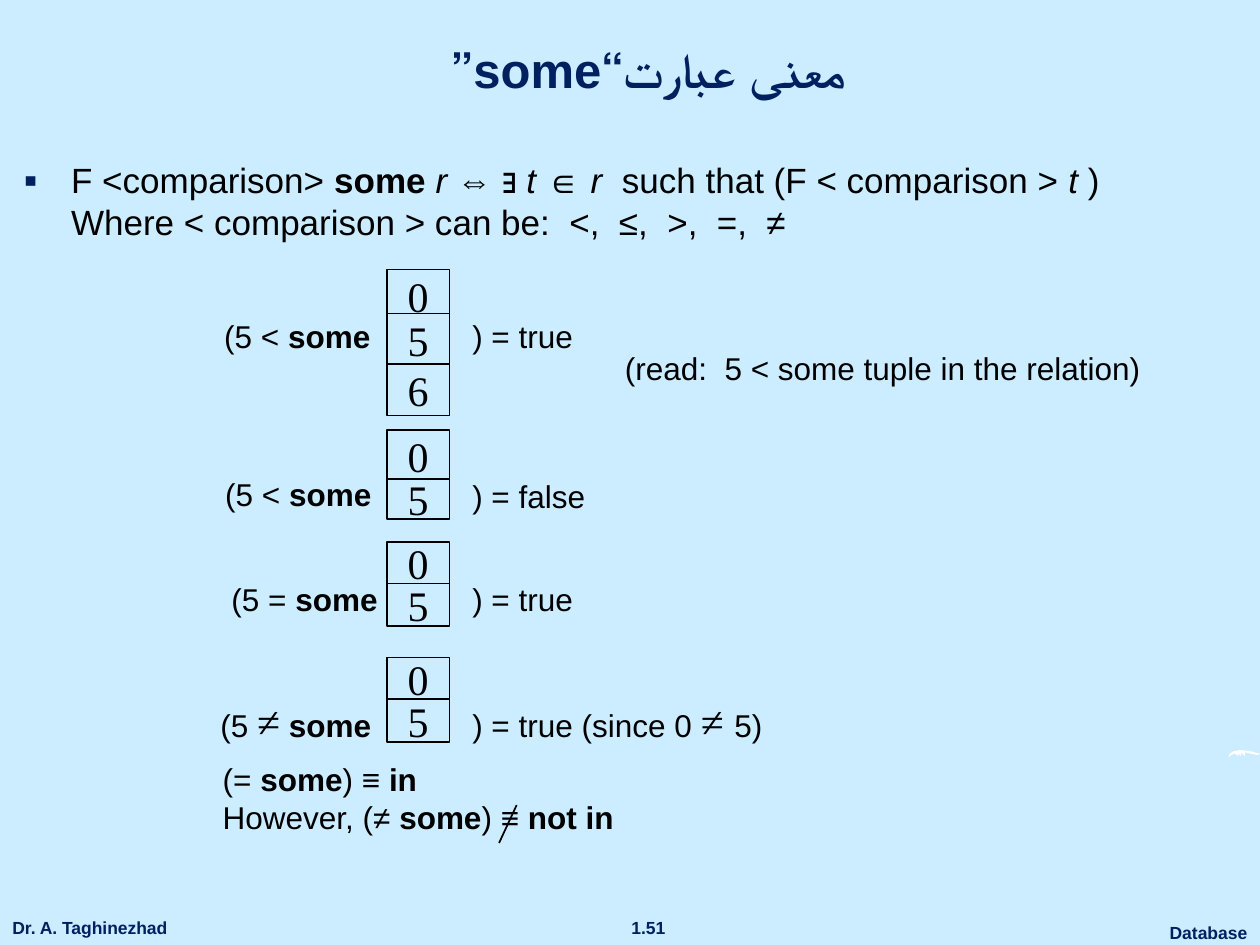
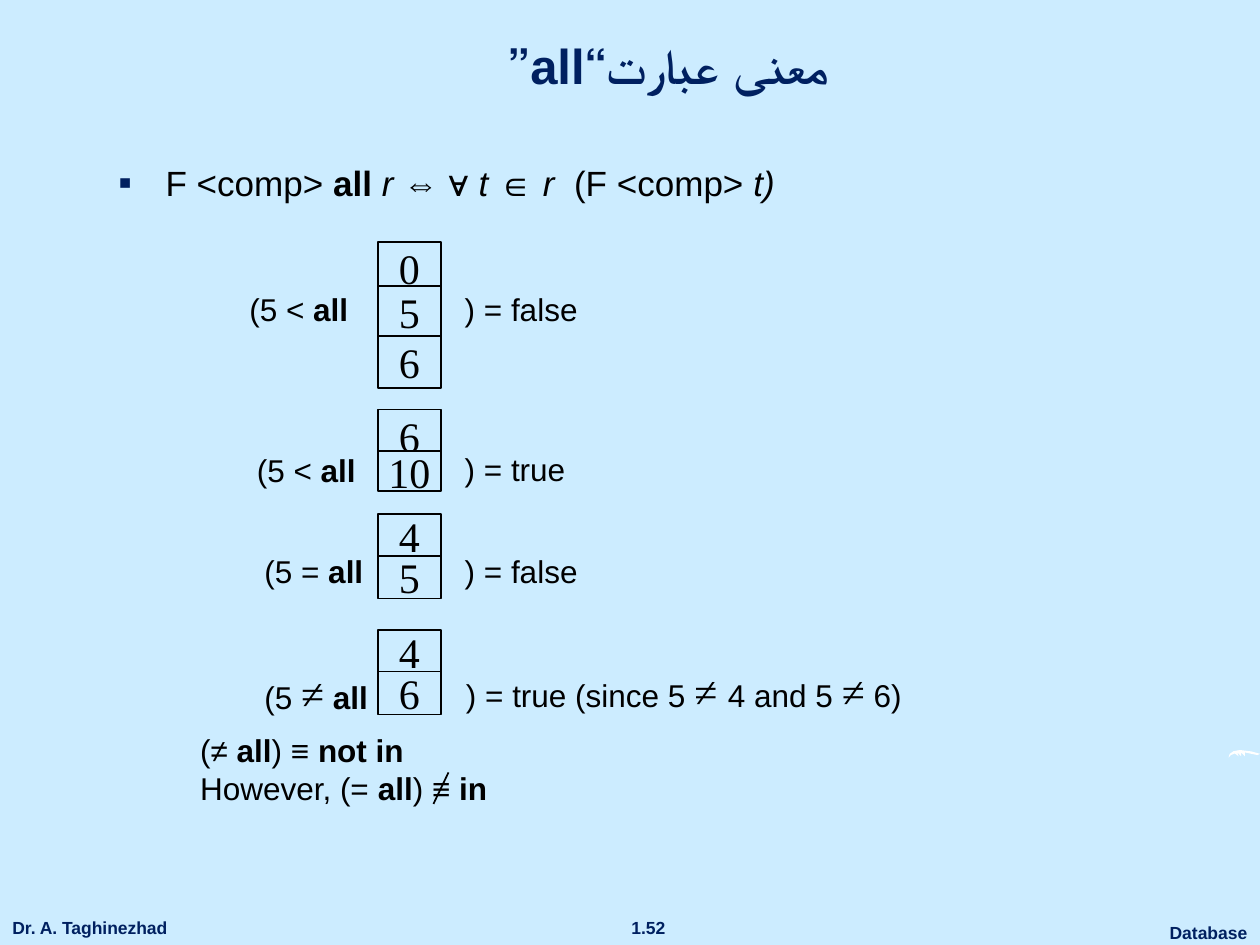
from dataclasses import dataclass

from lxml.etree import SubElement
from pptx import Presentation
from pptx.dml.color import RGBColor
from pptx.enum.shapes import MSO_CONNECTOR as Connector, MSO_SHAPE as Shape
from pptx.enum.text import MSO_ANCHOR as Anchor, MSO_AUTO_SIZE as AutoSize, PP_ALIGN as Align
from pptx.oxml.ns import qn
from pptx.util import Pt


@dataclass(frozen=True)
class Theme:
    background: RGBColor = RGBColor(0xCC, 0xEC, 0xFF)
    navy: RGBColor = RGBColor(0x00, 0x20, 0x60)
    ink: RGBColor = RGBColor(0, 0, 0)
    white: RGBColor = RGBColor(0xFF, 0xFF, 0xFF)
    sans: str = "Arial"
    serif: str = "Times New Roman"
    title: int = 28
    definition: int = 20
    label: int = 18
    value: int = 24
    footer: int = 10


@dataclass(frozen=True)
class Example:
    top: float
    cells: list
    claim: tuple
    claim_runs: list
    verdict: tuple
    verdict_runs: list


THEME = Theme()
PLAIN, BOLD, ITALIC, SYMBOL = range(4)
NOT_EQUAL = ("≠", SYMBOL)


def style_font(font, size, color=THEME.ink, name=THEME.sans, bold=None):
    font.name = name
    font.size = Pt(size)
    font.color.rgb = color
    font.bold = bold


def add_runs(paragraph, runs):
    for text, style in runs:
        for index, line in enumerate(text.split("\n")):
            if index:
                paragraph.add_line_break()
            run = paragraph.add_run()
            run.text = line
            if style == BOLD:
                run.font.bold = True
            elif style == ITALIC:
                run.font.italic = True
            elif style == SYMBOL:
                run.font.name = THEME.serif
                run.font.size = Pt(THEME.value)


def add_text(slide, box, *lines, size=THEME.label, color=THEME.ink, bold=None,
             align=Align.LEFT, wrap=True, bullet=False):
    frame = slide.shapes.add_textbox(*map(Pt, box)).text_frame
    frame.word_wrap = wrap
    for index, runs in enumerate(lines):
        paragraph = frame.add_paragraph() if index else frame.paragraphs[0]
        paragraph.alignment = align
        if bullet:
            add_bullet(paragraph)
        style_font(paragraph.font, size, color, bold=bold)
        add_runs(paragraph, runs)


def add_bullet(paragraph):
    properties = paragraph._p.get_or_add_pPr()
    properties.set("marL", str(Pt(27)))
    properties.set("indent", str(-Pt(27)))
    color = SubElement(properties, qn("a:buClr"))
    SubElement(color, qn("a:srgbClr"), val=str(THEME.navy))
    SubElement(properties, qn("a:buSzPct"), val="110000")
    SubElement(properties, qn("a:buFont"), typeface=THEME.sans)
    SubElement(properties, qn("a:buChar"), char="▪")


def add_title(slide, box, text):
    title = slide.shapes.title
    title.left, title.top, title.width, title.height = map(Pt, box)
    frame = title.text_frame
    frame.auto_size = AutoSize.NONE
    frame.vertical_anchor = Anchor.BOTTOM
    frame.text = text
    paragraph = frame.paragraphs[0]
    paragraph.alignment = Align.CENTER
    paragraph._p.get_or_add_pPr().set("rtl", "1")
    style_font(paragraph.font, THEME.title, THEME.navy, bold=True)


def add_footer(slide, page):
    footers = [
        ((661, 523.4, 59, 19.4), "Database", Align.CENTER),
        ((352.8, 520.6, 35.3, 19.4), page, Align.CENTER),
        ((0, 520.6, 105.8, 19.4), "Dr. A. Taghinezhad", Align.LEFT),
    ]
    for box, text, align in footers:
        add_text(slide, box, [(text, PLAIN)], size=THEME.footer, color=THEME.navy,
                 bold=True, align=align, wrap=False)


def add_feather(slide, left, top):
    outline = [(0, 4.3), (0.7, 2.2), (2.9, 0.7), (6.5, 0), (13, 0.8), (18, 2.2),
               (16.5, 2.9), (9.4, 1.4), (9.4, 3.6), (7.2, 1.4), (7.2, 3.6),
               (5, 1.4), (5.8, 3.6), (3.6, 2), (1.4, 2.9)]
    points = [(Pt(left + x), Pt(top + y)) for x, y in outline]
    builder = slide.shapes.build_freeform(*points[0])
    builder.add_line_segments(points[1:])
    feather = builder.convert_to_shape()
    feather.shadow.inherit = False
    feather.fill.solid()
    feather.fill.fore_color.rgb = THEME.white
    feather.line.fill.background()


def add_cell(slide, box, value):
    cell = slide.shapes.add_shape(Shape.RECTANGLE, *map(Pt, box))
    cell.shadow.inherit = False
    cell.fill.solid()
    cell.fill.fore_color.rgb = THEME.background
    cell.line.color.rgb = THEME.ink
    cell.line.width = Pt(1)
    frame = cell.text_frame
    frame.word_wrap = False
    frame.vertical_anchor = Anchor.MIDDLE
    frame.text = value
    paragraph = frame.paragraphs[0]
    paragraph.alignment = Align.CENTER
    style_font(paragraph.font, THEME.value, name=THEME.serif)


def add_example(slide, left, example):
    for value, offset, height in example.cells:
        add_cell(slide, (left, example.top + offset, 36, height), value)
    labels = [(example.claim, example.claim_runs), (example.verdict, example.verdict_runs)]
    for (dx, dy, width), runs in labels:
        tall = any(style == SYMBOL for _, style in runs)
        add_text(slide, (left + dx, example.top + dy, width, 36 if tall else 29), runs)


def add_conclusion(slide, left, top, lines, slash):
    add_text(slide, (left, top, 535.7, 56.2), *lines)
    x1, y1, x2, y2 = slash
    line = slide.shapes.add_connector(Connector.STRAIGHT, Pt(left + x1), Pt(top + y1),
                                      Pt(left + x2), Pt(top + y2))
    line.line.color.rgb = THEME.ink
    line.line.width = Pt(1)
    SubElement(line._element.spPr, qn("a:effectLst"))


def add_quantifier_slide(presentation, page, title_box, title, definition_box, definition,
                         column_left, examples, conclusion):
    slide = presentation.slides.add_slide(presentation.slide_layouts[5])
    slide.background.fill.solid()
    slide.background.fill.fore_color.rgb = THEME.background
    add_footer(slide, page)
    add_feather(slide, 702, 428.6)
    add_title(slide, title_box, title)
    add_text(slide, definition_box, definition, size=THEME.definition, bullet=True)
    for example in examples:
        add_example(slide, column_left, example)
    add_conclusion(slide, *conclusion)
    return slide


def triple(*values):
    return [(value, offset, 29.5) for value, offset in zip(values, (0, 25.2, 54))]


def pair(first, second):
    return [(first, 0, 24.5), (second, 23.8, 24.5)]


def uneven_pair(first, second, step):
    return [(first, 0, 30.2), (second, step, 23)]


def claim(operator, quantifier):
    return [(f"(5 {operator} ", PLAIN), (quantifier, BOLD)]


def unequal_claim(quantifier):
    return [("(5 ", PLAIN), NOT_EQUAL, (" ", PLAIN), (quantifier, BOLD)]


def verdict(answer):
    return [(f") = {answer}", PLAIN)]


def conclusion_lines(quantifier, first, second):
    return [
        [(f"{prefix}({operator} ", PLAIN), (quantifier, BOLD), (") ≡ ", PLAIN), (meaning, BOLD)]
        for prefix, (operator, meaning) in (("", first), ("However, ", second))
    ]


def add_some_slide(presentation):
    definition = [
        ("F <comparison> ", PLAIN), ("some ", BOLD), ("r ", ITALIC), ("⇔ ∃ ", PLAIN),
        ("t ", ITALIC), ("∈", PLAIN), (" r  ", ITALIC),
        ("such that (F < comparison > ", PLAIN), ("t ", ITALIC),
        (")\nWhere < comparison > can be:  <,  ≤,  >,  =,  ≠", PLAIN),
    ]
    since = [(") = true (since 0 ", PLAIN), ("≠ ", SYMBOL), ("5)", PLAIN)]
    examples = [
        Example(154, triple("0", "5", "6"), (-100, 23.8, 106.6), claim("<", "some"),
                (41.8, 23.8, 72), verdict("true")),
        Example(245.5, uneven_pair("0", "5", 28.1), (-99.4, 22.3, 108.7), claim("<", "some"),
                (41.8, 23.8, 95.8), verdict("false")),
        Example(309.6, pair("0", "5"), (-95.8, 18, 120.2), claim("=", "some"),
                (41.8, 18, 95.8), verdict("true")),
        Example(375.8, pair("0", "5"), (-102.2, 18, 113.8), unequal_claim("some"),
                (41.8, 18, 198), since),
    ]
    lines = conclusion_lines("some", ("=", "in"), ("≠", "not in"))
    slide = add_quantifier_slide(
        presentation, "1.51", (49, 11.5, 635.8, 48.2), "معنی عبارت“some” ",
        (6.5, 87.1, 699.8, 56.2), definition, 221, examples,
        (120.2, 430.6, lines, (175, 29.5, 165, 51.1)))
    add_text(slide, (350, 195.8, 383.8, 29),
             [("(read:  5 < some tuple in the relation)", PLAIN)])


def add_all_slide(presentation):
    definition = [
        ("F <comp> ", PLAIN), ("all ", BOLD), ("r ", ITALIC), ("⇔ ∀ ", PLAIN),
        ("t ", ITALIC), ("∈", PLAIN), (" r ", ITALIC), (" (F <comp> ", PLAIN), ("t)", ITALIC),
    ]
    since = [(") = true (since 5 ", PLAIN), ("≠ ", SYMBOL), ("4 and 5 ", PLAIN),
             NOT_EQUAL, (" 6)", PLAIN)]
    examples = [
        Example(138.2, triple("0", "5", "6"), (-80.6, 23.8, 95.8), claim("<", "all"),
                (42.5, 23.8, 95.8), verdict("false")),
        Example(234, uneven_pair("6", "10", 23.8), (-76.3, 20.2, 95.8), claim("<", "all"),
                (42.5, 19.4, 95.8), verdict("true")),
        Example(293.8, pair("4", "5"), (-72, 18, 95.8), claim("=", "all"),
                (42.5, 18, 95.8), verdict("false")),
        Example(360, pair("4", "6"), (-72, 18, 131.8), unequal_claim("all"),
                (43.2, 16.6, 360), since),
    ]
    lines = conclusion_lines("all", ("≠", "not in"), ("=", "in"))
    add_quantifier_slide(
        presentation, "1.52", (60.5, 9.4, 635.8, 48.2), "معنی عبارت“all” ",
        (60.5, 88.6, 527, 30.2), definition, 216, examples,
        (107.3, 414, lines, (149, 27.4, 140.4, 45.4)))


def main():
    presentation = Presentation()
    presentation.slide_width = Pt(720)
    presentation.slide_height = Pt(540)
    add_some_slide(presentation)
    add_all_slide(presentation)
    presentation.save("out.pptx")


if __name__ == "__main__":
    main()
